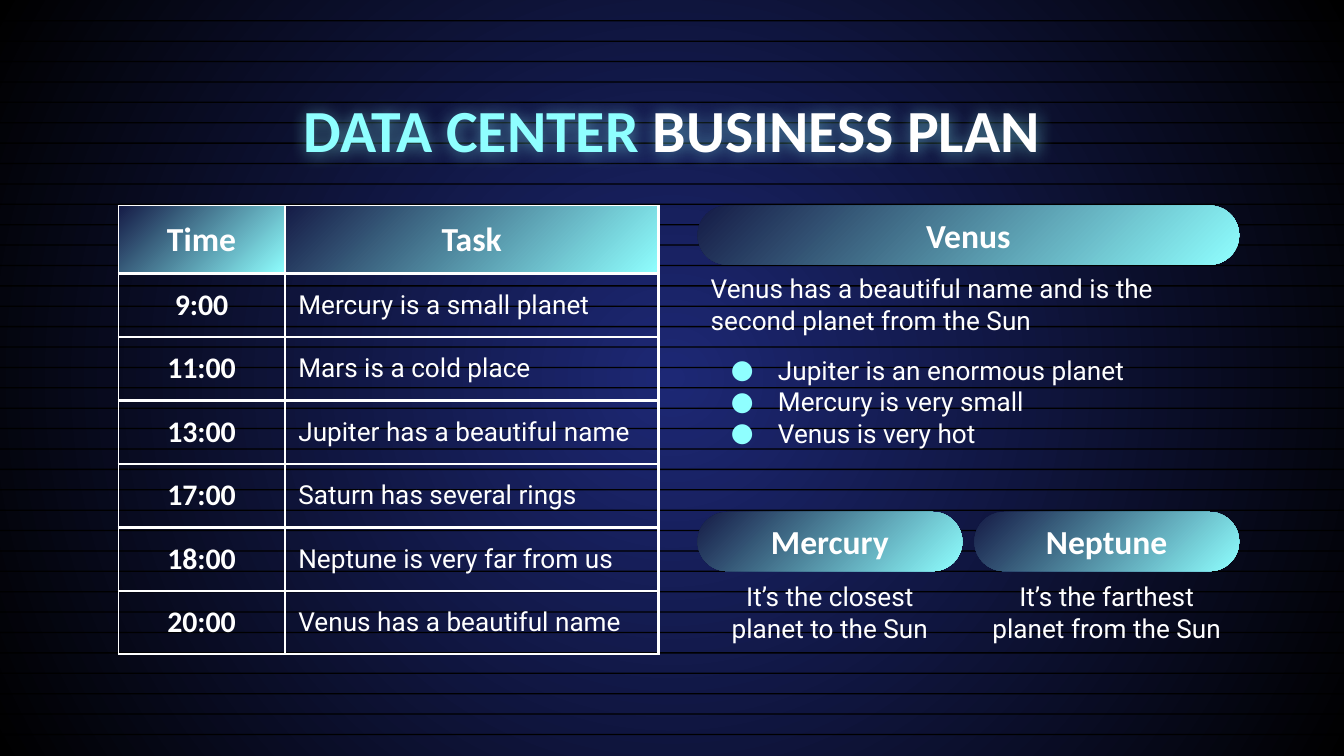
from dataclasses import dataclass

from lxml.etree import SubElement as Sub
from pptx import Presentation
from pptx.dml.color import RGBColor as RGB
from pptx.enum.shapes import MSO_SHAPE as Shape
from pptx.enum.text import MSO_ANCHOR as Anchor, MSO_AUTO_SIZE as Auto, PP_ALIGN as Align
from pptx.oxml.ns import qn
from pptx.util import Inches, Pt


@dataclass(frozen=True)
class Theme:
    white: str = "FFFFFF"
    black: str = "000000"
    cyan: str = "8FFFFF"
    navy: str = "151B46"
    blue: str = "1D2875"
    head: str = "Calibri"
    body: str = "Roboto"
    title: int = 32
    label: int = 18
    time: int = 16
    text: int = 14
    rule: float = 1.5
    thin: float = 0.75


T = Theme()


def write(frame, text, *, size=T.text, font=T.body, color=T.white, bold=False,
          align=Align.LEFT, anchor=Anchor.TOP, para=None):
    """Add a run to para, or to the frame's first paragraph, and return that paragraph."""
    frame.word_wrap = True
    frame.auto_size = Auto.NONE
    frame.vertical_anchor = anchor
    frame.margin_left = frame.margin_right = Inches(0.1)
    frame.margin_top = frame.margin_bottom = Inches(0.1)
    para = para or frame.paragraphs[0]
    para.alignment = align
    run = para.add_run()
    run.text = text
    run.font.size, run.font.name, run.font.bold = Pt(size), font, bold
    run.font.color.rgb = RGB.from_string(color)
    return para


def blend(fill, start, end):
    """Fill with a diagonal gradient, from top left to bottom right."""
    fill.gradient()
    fill.gradient_angle = 315
    for stop, color, place in zip(fill.gradient_stops, (start, end), (0, 1)):
        stop.color.rgb = RGB.from_string(color)
        stop.position = place


prs = Presentation()
prs.slide_width = Inches(10)
prs.slide_height = prs.slide_width * 9 // 16
slide = prs.slides.add_slide(prs.slide_layouts[5])
shapes = slide.shapes
title = shapes.title

# Backdrop: radial gradient under thin stripes
blend(slide.background.fill, T.blue, T.black)
grad = slide.element.find(".//" + qn("p:bgPr")).find(qn("a:gradFill"))
grad.remove(grad.find(qn("a:lin")))
ring = Sub(grad, qn("a:path"), path="circle")
Sub(ring, qn("a:fillToRect"), l="50000", t="50000", r="50000", b="50000")

count = 36
step = (5.46 - 0.15) / (count - 1)
for i in range(count):
    stripe = shapes.add_shape(Shape.RECTANGLE, 0, Inches(0.15 + i * step),
                              Inches(10), Inches(0.01))
    stripe.shadow.inherit = False
    stripe.fill.solid()
    stripe.fill.fore_color.rgb = RGB.from_string(T.black)
    stripe.line.fill.background()
    title.element.addprevious(stripe.element)

# Title with a soft cyan halo
title.left, title.top = Inches(0.78), Inches(0.59)
title.width, title.height = Inches(8.44), Inches(0.62)
para = None
for text, color in (("DATA CENTER ", T.cyan), ("BUSINESS PLAN", T.white)):
    para = write(title.text_frame, text, size=T.title, font=T.head, color=color,
                 bold=True, align=Align.CENTER, para=para)
halo = Sub(Sub(title.element.spPr, qn("a:effectLst")), qn("a:outerShdw"),
           blurRad=str(Inches(0.12)), dist="0", algn="bl", rotWithShape="0")
Sub(Sub(halo, qn("a:srgbClr"), val=T.cyan), qn("a:alpha"), val="50000")

# Schedule
rows = [
    ("Time", "Task"),
    ("9:00", "Mercury is a small planet"),
    ("11:00", "Mars is a cold place"),
    ("13:00", "Jupiter has a beautiful name"),
    ("17:00", "Saturn has several rings"),
    ("18:00", "Neptune is very far from us"),
    ("20:00", "Venus has a beautiful name"),
]
table = shapes.add_table(len(rows), 2, Inches(0.88), Inches(1.53),
                         Inches(4.02), Inches(3.3)).table
table.first_row = table.horz_banding = False
table.columns[0].width, table.columns[1].width = Inches(1.24), Inches(2.78)
for r, row in enumerate(rows):
    table.rows[r].height = Inches(0.47 if r else 0.5)
    for c, text in enumerate(row):
        cell = table.cell(r, c)
        cell.vertical_anchor = Anchor.MIDDLE
        cell.margin_left = cell.margin_right = Inches(0.1)
        cell.margin_top = cell.margin_bottom = Inches(0.1)
        for side in ("L", "R", "T", "B"):
            outer = (side == "T" and r == 0) or (side == "L" and c == 0)
            line = Sub(cell._tc.get_or_add_tcPr(), qn("a:ln" + side),
                       w=str(Pt(T.thin if outer else T.rule)))
            Sub(Sub(line, qn("a:solidFill")), qn("a:srgbClr"), val=T.white)
        if r == 0:
            blend(cell.fill, T.navy, T.cyan)
        else:
            cell.fill.background()
        if r and c:
            write(cell.text_frame, text)
        else:
            write(cell.text_frame, text, size=T.time if r else T.label,
                  font=T.head, bold=True, align=Align.CENTER)

# Planet cards: a pill over a text box
cards = [
    ("Venus", "Venus has a beautiful name and is the second planet from the Sun",
     5.19, 1.53, 4.03, 1.93, 1.53, Align.LEFT),
    ("Neptune", "It’s the farthest planet from the Sun",
     7.25, 3.81, 1.97, 4.22, 0.61, Align.CENTER),
    ("Mercury", "It’s the closest planet to the Sun",
     5.19, 3.81, 1.97, 4.22, 0.62, Align.CENTER),
]
facts = ["Jupiter is an enormous planet", "Mercury is very small", "Venus is very hot"]
for name, text, x, y, w, top, h, align in cards:
    group = shapes.add_group_shape()
    pill = group.shapes.add_shape(Shape.ROUNDED_RECTANGLE, Inches(x), Inches(y),
                                  Inches(w), Inches(0.44))
    pill.adjustments[0] = 0.5
    pill.shadow.inherit = False
    blend(pill.fill, T.navy, T.cyan)
    pill.line.fill.background()
    write(pill.text_frame, name, size=T.label, font=T.head, bold=True,
          align=Align.CENTER, anchor=Anchor.MIDDLE)
    note = group.shapes.add_textbox(Inches(x), Inches(top), Inches(w), Inches(h))
    write(note.text_frame, text, align=align)
    if name == "Venus":
        for i, fact in enumerate(facts):
            para = write(note.text_frame, fact, para=note.text_frame.add_paragraph())
            para.space_before = Pt(0 if i else 10)
            props = para._p.get_or_add_pPr()
            props.set("marL", str(Inches(0.5)))
            props.set("indent", str(Inches(-0.35)))
            Sub(Sub(props, qn("a:buClr")), qn("a:srgbClr"), val=T.cyan)
            Sub(props, qn("a:buFont"), typeface=T.body)
            Sub(props, qn("a:buChar"), char="●")

prs.save("out.pptx")
